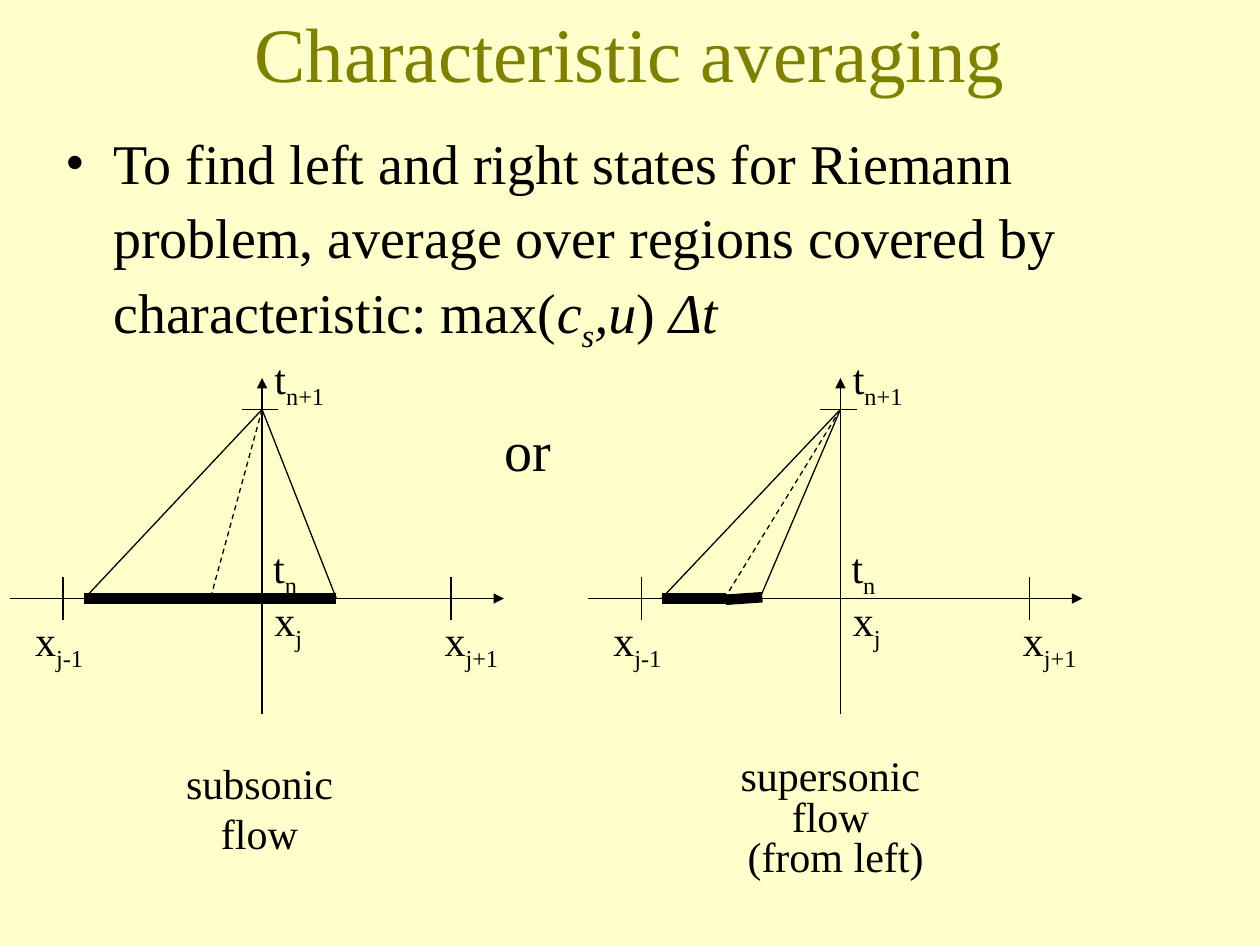
from dataclasses import dataclass

from lxml.etree import SubElement as SubEl
from pptx import Presentation
from pptx.dml.color import RGBColor
from pptx.enum.dml import MSO_LINE_DASH_STYLE as Dash
from pptx.enum.shapes import MSO_CONNECTOR as Conn
from pptx.enum.text import MSO_ANCHOR as Anchor, MSO_AUTO_SIZE as Fit, PP_ALIGN as Align
from pptx.oxml.ns import qn
from pptx.util import Inches, Pt

CREAM = RGBColor(0xFF, 0xFF, 0xCC)
OLIVE = RGBColor(0x80, 0x80, 0x00)
BLACK = RGBColor(0, 0, 0)
FONT = "Times New Roman"

Point = tuple[float, float]
Box = tuple[float, float, float, float]

# Heights shared by both diagrams
TOP, NEXT, BASE, FOOT = 3, 3.25, 4.75, 5.67


@dataclass
class Label:
    main: str
    sub: str
    dx: float
    top: float
    width: float


@dataclass
class Flow:
    axis: float
    left: float
    mid: float
    right: float
    bars: list[tuple[Point, Point]]
    name: list[str]
    box: Box
    pitch: float


# Widths leave a little room so that no label breaks
LABELS = [
    Label("t", "n", -0.01, 4.25, 0.42),
    Label("t", "n+1", 0, 2.75, 0.62),
    Label("x", "j-1", -1.9, 4.83, 0.61),
    Label("x", "j", 0, 4.67, 0.45),
    Label("x", "j+1", 1.35, 4.83, 0.65),
]

FLOWS = [
    Flow(2.08, 0.67, 1.67, 2.67,
         [((0.67, BASE), (1.67, BASE)), ((2.67, BASE), (1.67, BASE))],
         ["subsonic", "flow"], (1.36, 5.96, 1.4, 0.9), 1.0),
    Flow(6.67, 5.25, 5.75, 6.03,
         [((5.25, BASE), (5.76, BASE)), ((6.05, 4.74), (5.76, 4.76))],
         ["supersonic", "flow", " (from left)"], (5.73, 5.98, 1.72, 1.06), 0.8),
]


def style(run, size: float, color: RGBColor = BLACK, italic: bool = False,
          sub: bool = False) -> None:
    font = run.font
    font.name, font.size, font.color.rgb = FONT, Pt(size), color
    if italic:
        font.italic = True
    if sub:
        font._element.set("baseline", "-25000")


def draw_line(slide, start: Point, end: Point, width: float = 0.75,
              arrow: bool = False, dash: bool = False) -> None:
    """Draw a line, with an optional arrowhead at its end."""
    line = slide.shapes.add_connector(
        Conn.STRAIGHT, *(Inches(v) for v in (*start, *end)))
    line.line.color.rgb = BLACK
    line.line.width = Pt(width)
    if dash:
        line.line.dash_style = Dash.DASH
    if arrow:
        SubEl(line.line._get_or_add_ln(), qn("a:tailEnd"), type="triangle")
    SubEl(line._element.spPr, qn("a:effectLst"))


def add_text(slide, box: Box, wrap: bool = False):
    frame = slide.shapes.add_textbox(*(Inches(v) for v in box)).text_frame
    frame.word_wrap = wrap
    frame.auto_size = Fit.NONE if wrap else Fit.SHAPE_TO_FIT_TEXT
    return frame


def add_lines(slide, box: Box, lines: list[str], size: float,
              align: Align = Align.LEFT, pitch: float = 1.0) -> None:
    frame = add_text(slide, box)
    frame.text = "\n".join(lines)
    for para in frame.paragraphs:
        para.alignment = align
        para.line_spacing = pitch
        style(para.runs[0], size)


def add_label(slide, axis: float, label: Label) -> None:
    frame = add_text(slide, (axis + label.dx, label.top, label.width, 0.56))
    para = frame.paragraphs[0]
    for text, sub in ((label.main, False), (label.sub, True)):
        run = para.add_run()
        run.text = text
        style(run, 24, sub=sub)


def draw_flow(slide, flow: Flow) -> None:
    x = flow.axis
    # Axes and ticks
    draw_line(slide, (x, FOOT), (x, TOP), arrow=True)
    draw_line(slide, (x - 2, BASE), (x + 1.92, BASE), arrow=True)
    draw_line(slide, (x - 0.16, NEXT), (x + 0.13, NEXT))
    for tick in (x - 1.58, x + 1.5):
        draw_line(slide, (tick, 4.58), (tick, 4.92))
    # Characteristics and the region they cover
    for foot in (flow.left, flow.mid, flow.right):
        draw_line(slide, (x, NEXT), (foot, BASE), dash=foot == flow.mid)
    for start, end in flow.bars:
        draw_line(slide, start, end, width=6)
    # Labels and caption
    for label in LABELS:
        add_label(slide, x, label)
    add_lines(slide, flow.box, flow.name, 24, Align.CENTER, flow.pitch)


def add_title(slide, text: str) -> None:
    title = slide.shapes.title
    title.left, title.top = Inches(0.75), Inches(0)
    title.width, title.height = Inches(8.5), Inches(0.75)
    frame = title.text_frame
    frame.text = text
    frame.vertical_anchor = Anchor.MIDDLE
    frame.auto_size = Fit.NONE
    para = frame.paragraphs[0]
    para.alignment = Align.CENTER
    para.line_spacing = 1.1
    style(para.runs[0], 44, OLIVE)


def add_bullet(slide) -> None:
    para = add_text(slide, (0.42, 0.92, 9.08, 6.17), wrap=True).paragraphs[0]
    para.line_spacing = 1.1
    para.space_before = Pt(8)
    props = para._p.get_or_add_pPr()
    props.set("marL", str(Inches(0.38)))
    props.set("indent", str(Inches(-0.38)))
    SubEl(props, qn("a:buFont"), typeface=FONT)
    SubEl(props, qn("a:buChar"), char="•")
    parts = [
        ("To find left and right states for Riemann problem, average over "
         "regions covered by characteristic: max(", False, False),
        ("c", True, False), ("s", True, True), (",u", True, False),
        (") ", False, False), ("Δt", True, False),
    ]
    for text, italic, sub in parts:
        run = para.add_run()
        run.text = text
        style(run, 32, italic=italic, sub=sub)


def main() -> None:
    deck = Presentation()
    deck.slide_width, deck.slide_height = Inches(10), Inches(7.5)
    slide = deck.slides.add_slide(deck.slide_layouts[5])
    fill = slide.background.fill
    fill.solid()
    fill.fore_color.rgb = CREAM

    add_title(slide, "Characteristic averaging")
    add_bullet(slide)
    for flow in FLOWS:
        draw_flow(slide, flow)
    add_lines(slide, (3.91, 3.25, 0.6, 0.64), ["or"], 32)
    deck.save("out.pptx")


if __name__ == "__main__":
    main()
